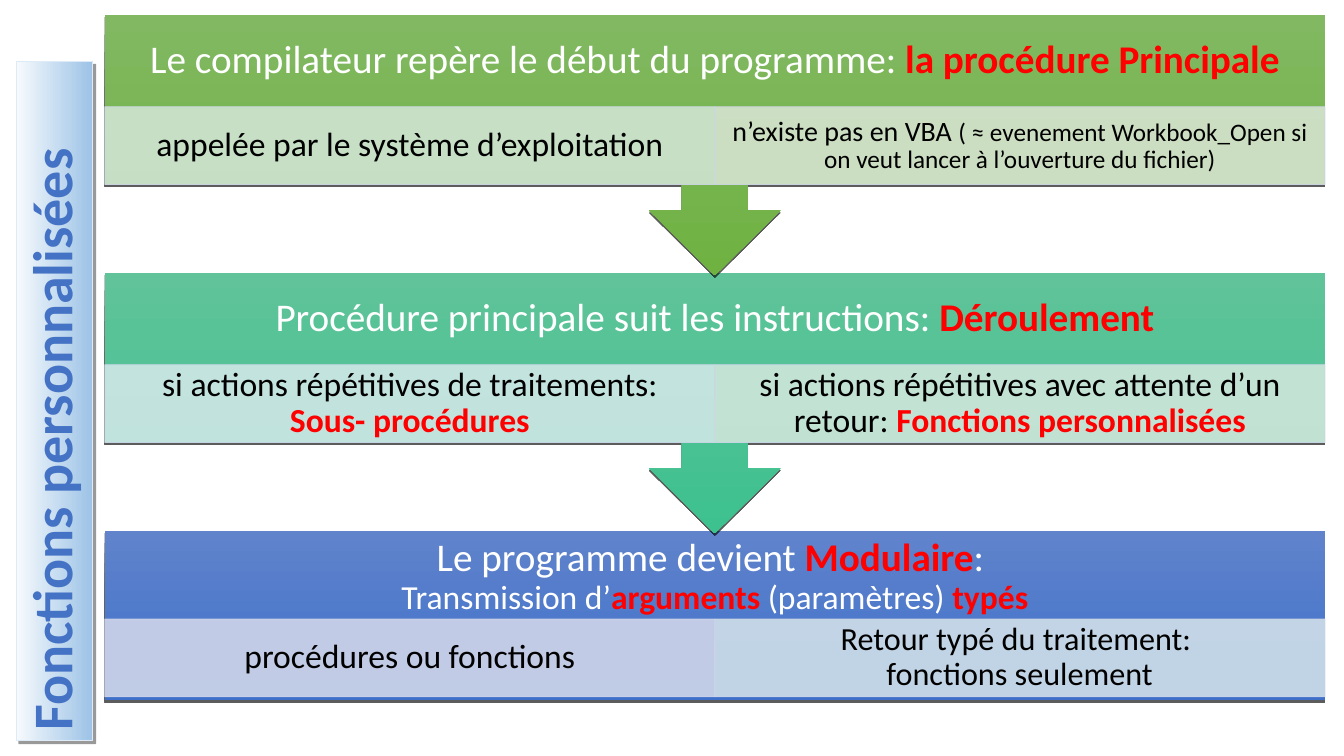
from lxml import etree
from pptx import Presentation
from pptx.dml.color import RGBColor
from pptx.enum.shapes import MSO_SHAPE
from pptx.enum.text import MSO_ANCHOR, MSO_AUTO_SIZE, PP_ALIGN
from pptx.oxml.ns import qn
from pptx.util import Cm, Pt

RECT = MSO_SHAPE.RECTANGLE
MIDDLE = MSO_ANCHOR.MIDDLE
NO_FIT = MSO_AUTO_SIZE.NONE
LEFT, CENTER = PP_ALIGN.LEFT, PP_ALIGN.CENTER
WHITE = RGBColor(0xFF, 0xFF, 0xFF)
BLACK = RGBColor(0, 0, 0)
RED = RGBColor(0xFF, 0, 0)
BLUE = RGBColor(0x44, 0x72, 0xC4)
CELL_LINE = RGBColor(0xCF, 0xD5, 0xEA)
TITLE_LINE = RGBColor(0xDE, 0xEB, 0xF7)
TITLE_GRADIENT = (RGBColor(0xF7, 0xFA, 0xFD), RGBColor(0x9D, 0xC3, 0xE6))
FONT = "Calibri"

TITLE = "Fonctions personnalisées"
STEPS = [
    {
        "gradient": (RGBColor(0x81, 0xB8, 0x61), RGBColor(0x6F, 0xB2, 0x42)),
        "heading": [[(28, "Le compilateur repère le début du programme: *la procédure Principale*")]],
        "cells": [
            (RGBColor(0xCF, 0xE4, 0xD2), [[(24, "appelée par le système d’exploitation")]]),
            (RGBColor(0xD5, 0xE3, 0xCF), [[
                (20, "n’existe pas en VBA "),
                (18, "( ≈ evenement Workbook_Open si on veut lancer à l’ouverture du fichier)"),
            ]]),
        ],
    },
    {
        "gradient": (RGBColor(0x60, 0xC3, 0x9A), RGBColor(0x3D, 0xC1, 0x8F)),
        "heading": [[(28, "Procédure principale suit les instructions: *Déroulement*")]],
        "cells": [
            (RGBColor(0xCF, 0xE7, 0xE6), [
                [(24, "si actions répétitives de traitements:")],
                [(24, "*Sous- procédures*")],
            ]),
            (RGBColor(0xCF, 0xE6, 0xDB), [[
                (24, "si actions répétitives avec attente d’un retour: *Fonctions personnalisées*"),
            ]]),
        ],
    },
    {
        "gradient": (RGBColor(0x60, 0x83, 0xCB), RGBColor(0x3E, 0x70, 0xCA)),
        "heading": [
            [(28, "Le programme devient *Modulaire*: ")],
            [(24, "Transmission d’*arguments* (paramètres) *typés*")],
        ],
        "cells": [
            (RGBColor(0xCF, 0xD5, 0xEA), [[(24, "procédures ou fonctions")]]),
            (RGBColor(0xCF, 0xDF, 0xE8), [
                [(23, "Retour typé du traitement: ")],
                [(23, "fonctions seulement")],
            ]),
        ],
    },
]

X, Y, WIDTH, PITCH = Cm(2.64), Cm(0.38), Cm(30.75), Cm(6.5)
BODY_H, TIP_H, NECK = Cm(4.27), Cm(6.56), Cm(0.66)
STEM, HEAD = Cm(0.83), Cm(1.65)
CELL_H, CELL_GAP = Cm(1.96), Cm(0.09)
HEADING_PAD, HEADING_H = Cm(0.56), Cm(1.2)


def set_gradient(sp, colors):
    """Fill a shape with a two-colour gradient running downwards."""
    sp.fill.gradient()
    sp.fill.gradient_angle = 270
    for stop, color in zip(sp.fill.gradient_stops, colors):
        stop.color.rgb = color


def set_shadow(sp, alpha, dist, angle):
    """Give a shape a hard black shadow."""
    sp.shadow.inherit = False
    effects = sp._element.spPr.find(qn("a:effectLst"))
    outer = etree.SubElement(effects, qn("a:outerShdw"), blurRad="0", dist=str(Pt(dist)),
                             dir=str(angle * 60000), algn="ctr", rotWithShape="0")
    color = etree.SubElement(outer, qn("a:srgbClr"), val="000000")
    etree.SubElement(color, qn("a:alpha"), val=str(alpha * 1000))


def set_text(sp, paragraphs, color, insets):
    """Write centred paragraphs, with the words between asterisks in bold red."""
    tf = sp.text_frame
    tf.word_wrap = True
    tf.vertical_anchor = MIDDLE
    tf.margin_left, tf.margin_top, tf.margin_right, tf.margin_bottom = insets
    for i, chunks in enumerate(paragraphs):
        p = tf.add_paragraph() if i else tf.paragraphs[0]
        p.alignment = CENTER
        p.line_spacing = 0.9
        for size, text in chunks:
            for j, part in enumerate(text.split("*")):
                if part:
                    r = p.add_run()
                    r.text = part
                    r.font.name, r.font.size = FONT, Pt(size)
                    r.font.bold = j % 2 == 1
                    r.font.color.rgb = RED if r.font.bold else color


def add_body(s, top, has_arrow):
    """Add the block of a step, ending in a down arrow when another step follows."""
    if not has_arrow:
        return s.shapes.add_shape(RECT, X, top, WIDTH, BODY_H)
    right, bottom, mid = X + WIDTH, top + BODY_H, X + WIDTH // 2
    neck = bottom + NECK
    builder = s.shapes.build_freeform(right, bottom)
    builder.add_line_segments([
        (mid + STEM, bottom), (mid + STEM, neck), (mid + HEAD, neck), (mid, top + TIP_H),
        (mid - HEAD, neck), (mid - STEM, neck), (mid - STEM, bottom),
        (X, bottom), (X, top), (right, top),
    ])
    return builder.convert_to_shape()


def add_cell(s, left, top, color, paragraphs):
    """Add a translucent cell under a step heading."""
    sp = s.shapes.add_shape(RECT, left, top, WIDTH // 2, CELL_H)
    sp.shadow.inherit = False
    sp.fill.solid()
    sp.fill.fore_color.rgb = color
    sp.line.color.rgb = CELL_LINE
    sp.line.width = Pt(0.5)
    for clr in sp._element.spPr.iter(qn("a:srgbClr")):
        etree.SubElement(clr, qn("a:alpha"), val="90000")
    side = Cm(0.02 * paragraphs[0][0][0])
    set_text(sp, paragraphs, BLACK, (side, Cm(0.08), side, Cm(0.08)))


def add_step(s, index, step):
    """Add one step with its heading and its two cells."""
    has_arrow = index < len(STEPS) - 1
    top = Y + index * PITCH
    sp = add_body(s, top, has_arrow)
    set_gradient(sp, step["gradient"])
    sp.line.fill.background()
    set_shadow(sp, 63, 1.5, 90)
    bottom_pad = sp.height - HEADING_PAD - HEADING_H
    set_text(sp, step["heading"], WHITE, (HEADING_PAD, HEADING_PAD, HEADING_PAD, bottom_pad))
    cell_top = top + BODY_H - CELL_H - (0 if has_arrow else CELL_GAP)
    for column, (color, paragraphs) in enumerate(step["cells"]):
        add_cell(s, X + column * WIDTH // 2, cell_top, color, paragraphs)


def add_title(s):
    """Turn the title placeholder into the vertical banner."""
    sp = s.shapes.title
    sp.left, sp.top, sp.width, sp.height = Cm(-7.19), Cm(9.14), Cm(17.12), Cm(1.93)
    sp.rotation = 270
    set_gradient(sp, TITLE_GRADIENT)
    sp.line.color.rgb = TITLE_LINE
    sp.line.width = Pt(0.75)
    set_shadow(sp, 40, 3, 45)
    pad, edge = Cm(0.25), Cm(0.13)
    set_text(sp, [[(40, TITLE)]], BLUE, (pad, edge, pad, edge))
    sp.text_frame.auto_size = NO_FIT
    p = sp.text_frame.paragraphs[0]
    p.alignment = LEFT
    p.runs[0].font.bold = True


prs = Presentation()
prs.slide_width, prs.slide_height = Cm(33.87), Cm(19.05)
s = prs.slides.add_slide(prs.slide_layouts[5])
for index, step in reversed(list(enumerate(STEPS))):
    add_step(s, index, step)
add_title(s)
prs.save("out.pptx")
